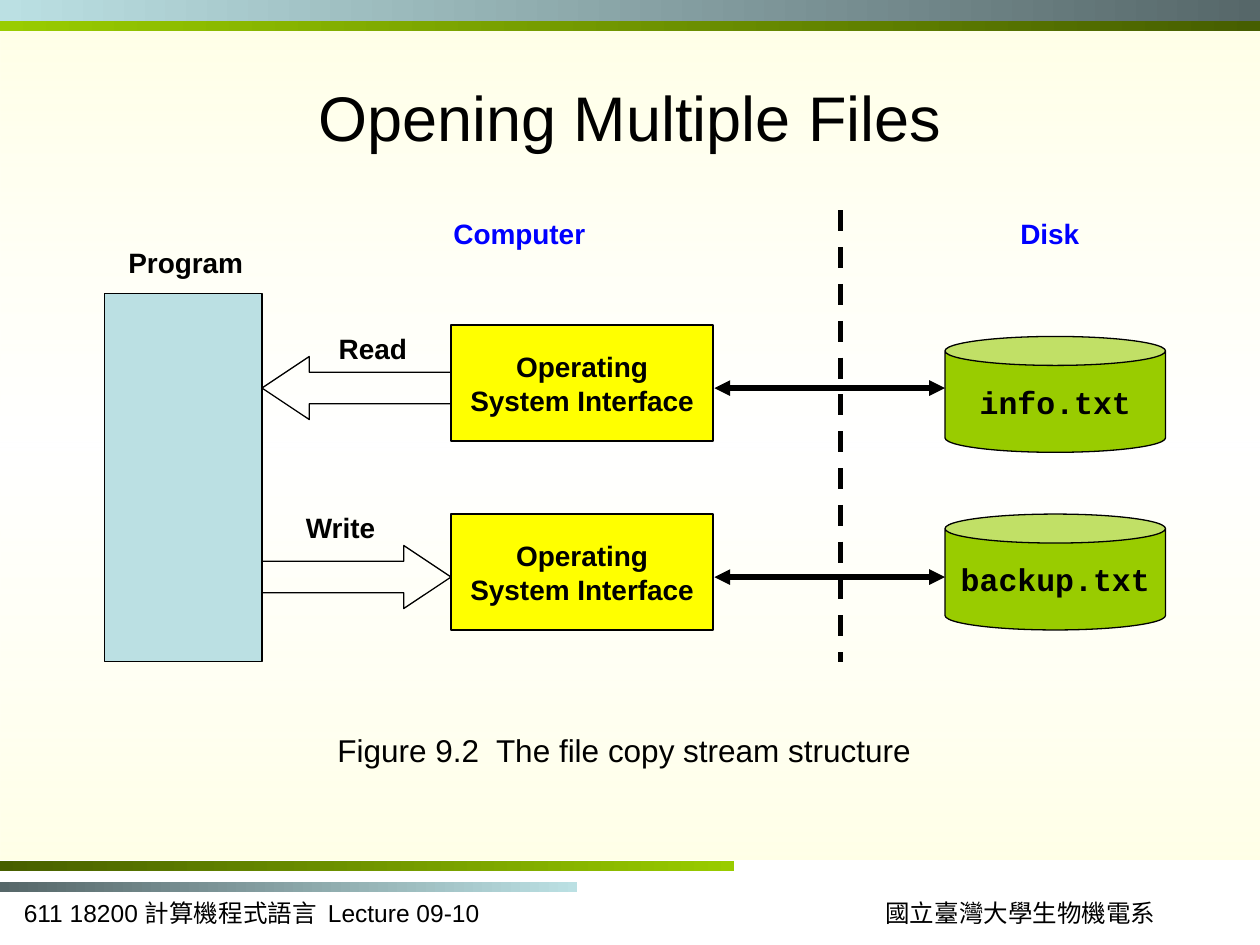
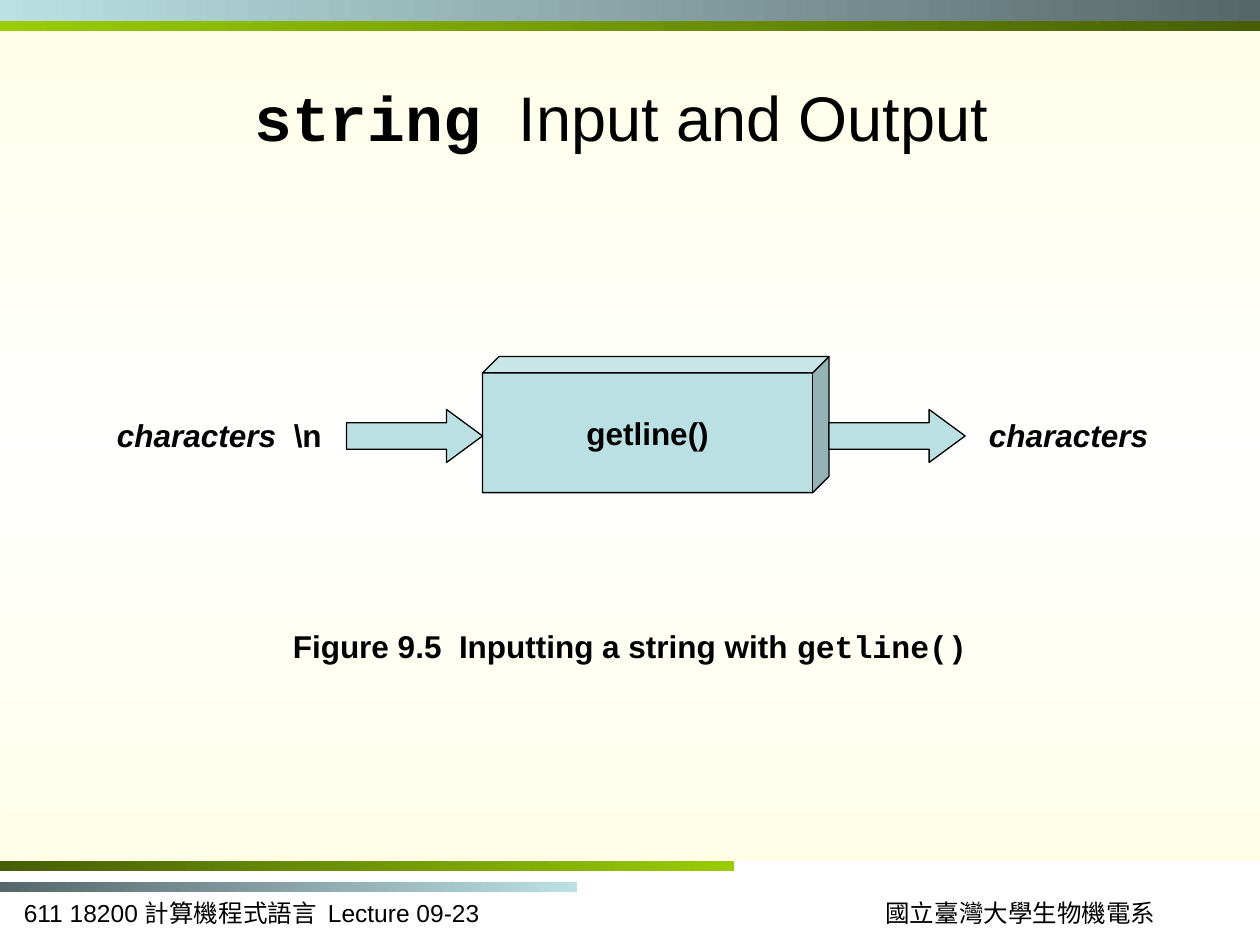
from pptx import Presentation
from pptx import util as u
from pptx.dml.color import RGBColor
from pptx.enum import dml, shapes, text
from pptx.oxml import parse_xml
from pptx.oxml.ns import nsdecls

# ---- Shared look ----
SANS, MONO, SERIF = "Arial", "Courier New", "Times New Roman"
BLACK, BLUE, YELLOW = "000000", "0000FF", "FFFF00"
GREEN, DARK_GREEN = "99CC00", "465E00"
AQUA, DARK_AQUA = "BBE0E3", "566769"
SHAPE, LEFT, CENTER = shapes.MSO_SHAPE, text.PP_ALIGN.LEFT, text.PP_ALIGN.CENTER

# box, angle, stops as (percent, colour, opacity percent)
BANDS = [
    ((0, 0.16, 10, 0.09), 0, [(0, GREEN, 100), (100, DARK_GREEN, 100)]),
    ((0, 0.25, 10, 6.57), 90, [(0, "FFFFCC", 46), (50, "FFFFD8", 0), (100, "FFFFCC", 46)]),
    ((0, 7, 4.58, 0.08), 0, [(0, DARK_AQUA, 100), (100, AQUA, 100)]),
    ((0, 6.83, 5.83, 0.08), 0, [(0, DARK_GREEN, 100), (100, GREEN, 100)]),
    ((0, 0, 10, 0.17), 0, [(0, AQUA, 100), (100, DARK_AQUA, 100)]),
]
COURSE = "611 18200 計算機程式語言  Lecture 09-"
SCHOOL = "國立臺灣大學生物機電系"

# ---- Content: runs are (text, font, bold, italic) ----
COPY_TITLE = [("Opening Multiple Files", SANS, False, False)]
COPY_CAPTION = [("Figure 9.2  The file copy stream structure", SANS, False, False)]
COPY_LABELS = [  # text, box, colour
    ("Program", (0.92, 1.9, 1.11, 0.37), BLACK),
    ("Read", (2.59, 2.58, 0.74, 0.37), BLACK),
    ("Write", (2.33, 4, 0.76, 0.37), BLACK),
    ("Computer", (3.5, 1.67, 1.25, 0.37), BLUE),
    ("Disk", (8, 1.67, 0.67, 0.37), BLUE),
]
STREAMS = [  # file, middle of the row, top of the can, arrow points left
    ("info.txt", 3.08, 2.67, True),
    ("backup.txt", 4.58, 4.08, False),
]
INTERFACE = "Operating\vSystem Interface"

LINE_TITLE = [("string ", MONO, True, False), ("Input and Output ", SANS, False, False)]
LINE_CAPTION = [("Figure 9.5  Inputting a string with ", SANS, True, False),
                ("getline()", MONO, True, False)]
LINE_INPUT = [("characters ", SANS, True, True), (" \\n", SANS, True, False)]
LINE_OUTPUT = [("characters ", SANS, True, True)]


# ---- Helpers ----
def rgb(value):
    return RGBColor.from_string(value)


def inches(box):
    return [u.Inches(v) for v in box]


def write(tf, runs, size, color=BLACK, align=LEFT):
    p = tf.paragraphs[0]
    p.alignment = align
    for words, font, bold, italic in runs:
        first = len(p.runs)
        p.add_run().text = words
        for r in p.runs[first:]:
            r.font.name, r.font.size = font, u.Pt(size)
            r.font.bold, r.font.italic = bold, italic
            r.font.color.rgb = rgb(color)


def add_label(s, box, runs, size, color=BLACK, align=LEFT, wrap=False):
    tf = s.shapes.add_textbox(*inches(box)).text_frame
    tf.word_wrap = wrap
    tf.auto_size = text.MSO_AUTO_SIZE.SHAPE_TO_FIT_TEXT
    write(tf, runs, size, color, align)


def add_block(s, kind, box, fill=None, adjust=(), words="", font=SANS, size=16):
    sp = s.shapes.add_shape(kind, *inches(box))
    sp.shadow.inherit = False
    for i, value in enumerate(adjust):
        sp.adjustments[i] = value
    if fill:
        sp.fill.solid()
        sp.fill.fore_color.rgb = rgb(fill)
    else:
        sp.fill.background()
    sp.line.color.rgb = rgb(BLACK)
    sp.line.width = u.Pt(0.75)
    if words:
        tf = sp.text_frame
        tf.word_wrap = False
        tf.vertical_anchor = text.MSO_ANCHOR.MIDDLE
        first, *rest = words.split("\v")
        p = tf.paragraphs[0]
        write(tf, [(first, font, True, False)], size, align=CENTER)
        for line in rest:
            p.add_line_break()
            write(tf, [(line, font, True, False)], size, align=CENTER)
    return sp


def add_line(s, x1, y1, x2, y2, arrows=False):
    c = s.shapes.add_connector(shapes.MSO_CONNECTOR.STRAIGHT, *inches((x1, y1, x2, y2)))
    c.line.color.rgb = rgb(BLACK)
    c.line.width = u.Pt(3)
    if arrows:
        for end in ("headEnd", "tailEnd"):
            c.line._get_or_add_ln().append(
                parse_xml(f'<a:{end} {nsdecls("a")} type="triangle"/>'))
    else:
        c.line.dash_style = dml.MSO_LINE.DASH
    c.element.spPr.append(parse_xml(f'<a:effectLst {nsdecls("a")}/>'))


def add_band(s, box, angle, stops):
    sp = s.shapes.add_shape(SHAPE.RECTANGLE, *inches(box))
    sp.shadow.inherit = False
    sp.line.fill.background()
    stop_xml = "".join(
        f'<a:gs pos="{pos * 1000}"><a:srgbClr val="{color}">'
        f'<a:alpha val="{alpha * 1000}"/></a:srgbClr></a:gs>'
        for pos, color, alpha in stops)
    sp.element.spPr.find("{*}prstGeom").addnext(parse_xml(
        f'<a:gradFill {nsdecls("a")} rotWithShape="1"><a:gsLst>{stop_xml}</a:gsLst>'
        f'<a:lin ang="{angle * 60000}" scaled="1"/></a:gradFill>'))
    return sp


def add_slide(title, number):
    s = prs.slides.add_slide(layout)
    write(s.shapes.title.text_frame, title, 36, align=CENTER)
    add_label(s, (0.09, 7.08, 4.75, 0.33), [(COURSE + number, SANS, False, False)], 14, wrap=True)
    add_label(s, (6.92, 7.08, 2.36, 0.33), [(SCHOOL, SERIF, False, False)], 14,
              align=CENTER, wrap=True)
    return s


# ---- Presentation and layout ----
prs = Presentation()
prs.slide_width, prs.slide_height = u.Inches(10), u.Inches(7.5)
layout = prs.slide_layouts[5]
title = layout.placeholders[0]
title.left, title.top, title.width, title.height = inches((0.5, 0.3, 9, 1.25))

# ---- Slide 1: file copy streams ----
s = add_slide(COPY_TITLE, "10")
for band in BANDS:  # bands are drawn once, then kept on the layout
    layout.shapes.element.append(add_band(s, *band).element)

add_label(s, (2.58, 5.75, 4.8, 0.4), COPY_CAPTION, 18)
add_block(s, SHAPE.RECTANGLE, (0.83, 2.33, 1.25, 2.92), AQUA)
add_line(s, 6.67, 1.67, 6.67, 5.25)
for name, middle, can_top, to_left in STREAMS:
    add_block(s, SHAPE.RECTANGLE, (3.58, middle - 0.5, 2.08, 0.92), YELLOW, words=INTERFACE)
    add_block(s, SHAPE.CAN, (7.5, can_top, 1.75, 0.92), GREEN, (0.25,), name, MONO, 18)
    add_line(s, 5.67, middle, 7.5, middle, arrows=True)
    arrow = add_block(s, SHAPE.RIGHT_ARROW, (2.08, middle - 0.25, 1.5, 0.5), adjust=(0.5, 0.75))
    if to_left:
        arrow.element.spPr.find("{*}xfrm").set("flipH", "1")
for words, box, color in COPY_LABELS:
    add_label(s, box, [(words, SANS, True, False)], 16, color)

# ---- Slide 2: reading a line ----
s = add_slide(LINE_TITLE, "23")
add_label(s, (0, 4.93, 10, 0.4), LINE_CAPTION, 18, align=CENTER, wrap=True)
add_block(s, SHAPE.CUBE, (3.83, 2.83, 2.75, 1.08), AQUA, (0.12,), "getline()", size=18)
for left in (2.75, 6.58):
    add_block(s, SHAPE.RIGHT_ARROW, (left, 3.25, 1.08, 0.42), AQUA, (0.5, 0.68))
add_label(s, (0.83, 3.25, 1.84, 0.4), LINE_INPUT, 18)
add_label(s, (7.75, 3.25, 1.55, 0.4), LINE_OUTPUT, 18)

prs.save("out.pptx")
